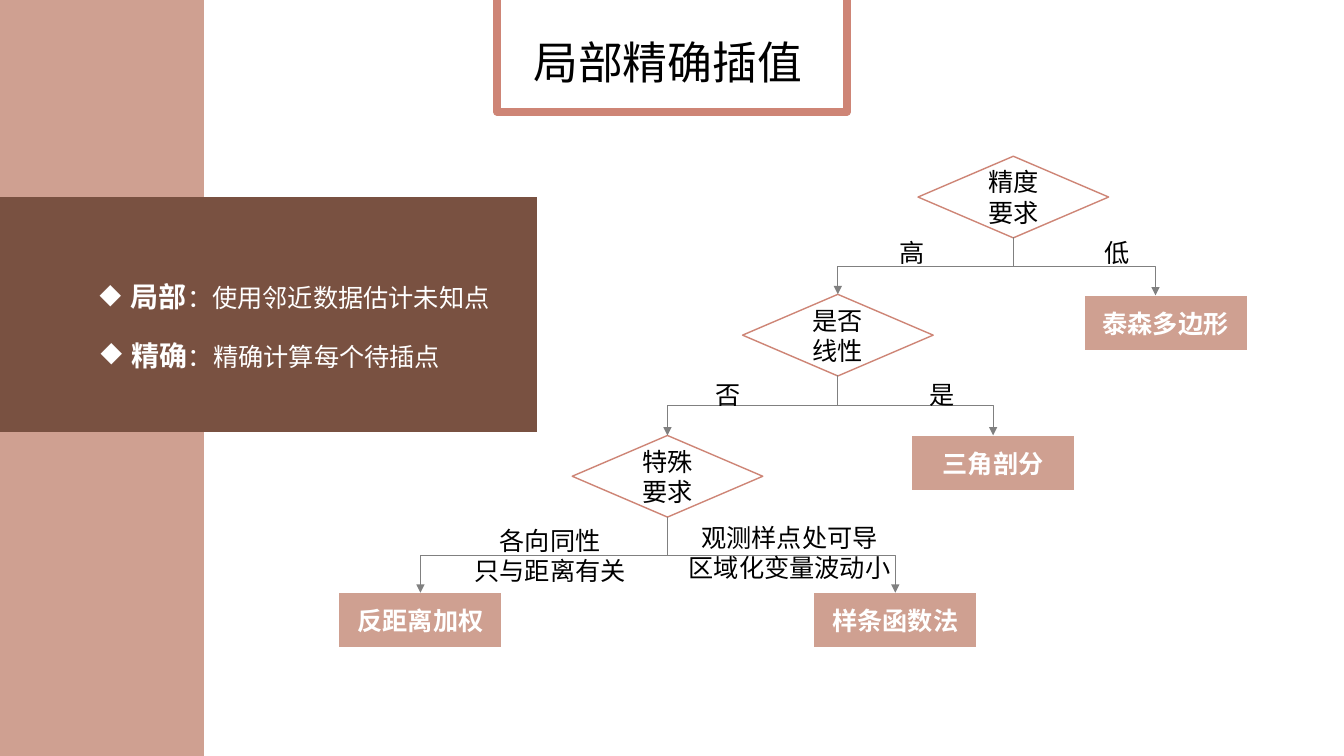
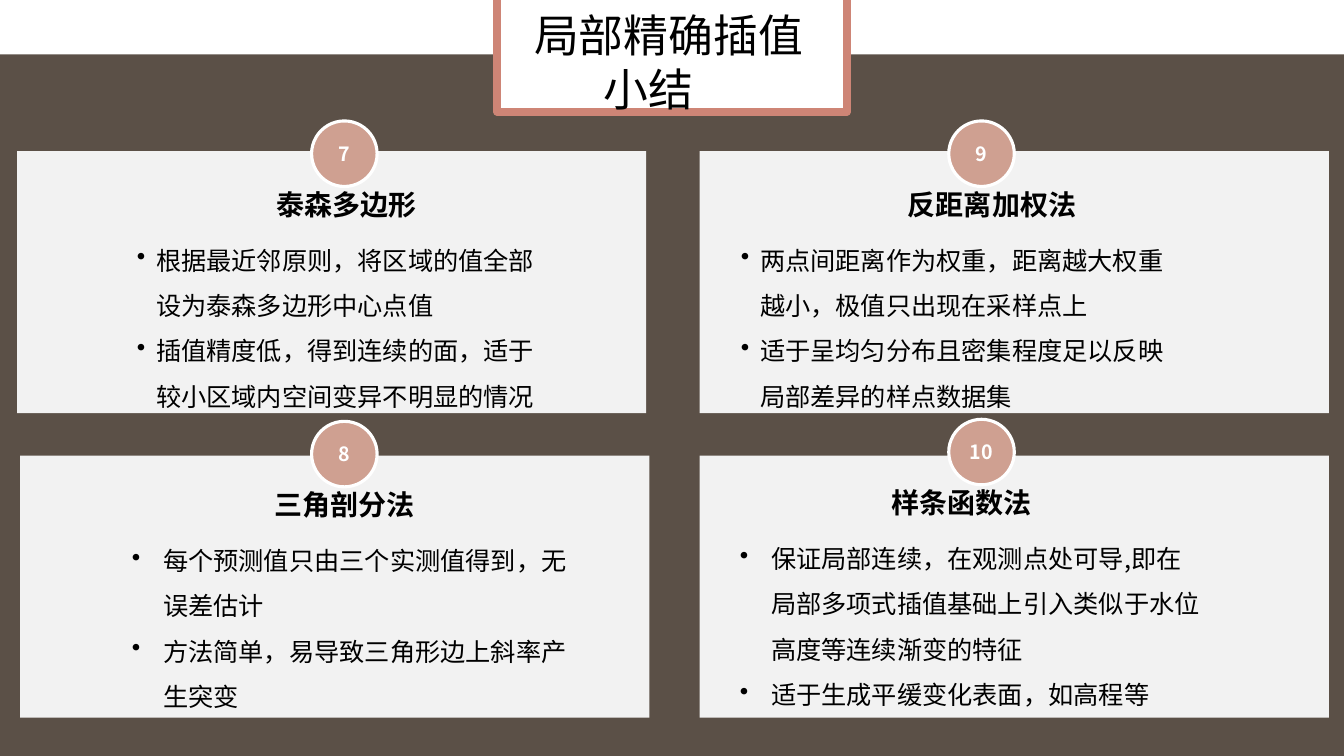
from pptx import Presentation
from pptx.dml.color import RGBColor
from pptx.enum.shapes import MSO_CONNECTOR, MSO_SHAPE
from pptx.enum.text import MSO_ANCHOR, PP_ALIGN
from pptx.oxml.ns import qn
from pptx.util import Inches, Pt
from lxml.etree import SubElement

FONT = "Noto Sans CJK SC"
WHITE = RGBColor(0xFF, 0xFF, 0xFF)
BLACK = RGBColor(0x00, 0x00, 0x00)
PINK = RGBColor(0xCF, 0xA0, 0x91)
CORAL = RGBColor(0xCE, 0x85, 0x76)
BROWN = RGBColor(0x79, 0x51, 0x41)
UMBER = RGBColor(0x5B, 0x50, 0x47)
PALE = RGBColor(0xF2, 0xF2, 0xF2)
GREY = RGBColor(0x80, 0x80, 0x80)

TITLE = {"size": Pt(32), "bold": False, "color": BLACK}
BODY = {"size": Pt(18), "bold": False, "color": BLACK}
HEADING = {"size": Pt(20), "bold": True, "color": BLACK}
TERM = {"size": Pt(20), "bold": True, "color": WHITE}
MEANING = {"size": Pt(18), "bold": False, "color": WHITE}
METHOD = {"size": Pt(18), "bold": True, "color": WHITE}
NUMBER = {"size": Pt(14), "bold": True, "color": WHITE}


def add_box(s, kind, at, fill, line=None, width=1):
    sp = s.shapes.add_shape(kind, *[Inches(v) for v in at])
    sp.shadow.inherit = False
    sp.fill.solid()
    sp.fill.fore_color.rgb = fill
    if line is None:
        sp.line.fill.background()
    else:
        sp.line.color.rgb = line
        sp.line.width = Pt(width)
    return sp


def write(s, target, paras, align=PP_ALIGN.LEFT, bullet=None, indent=0.31):
    """Fill a shape, or a new text box at four lengths, with paragraphs of (text, format) runs."""
    if isinstance(target, tuple):
        target = s.shapes.add_textbox(*[Inches(v) for v in target])
        target.text_frame.vertical_anchor = MSO_ANCHOR.TOP
    else:
        target.text_frame.vertical_anchor = MSO_ANCHOR.MIDDLE
    tf = target.text_frame
    tf.word_wrap = True
    for i, runs in enumerate(paras):
        p = tf.add_paragraph() if i else tf.paragraphs[0]
        p.alignment = align
        if bullet:
            p.line_spacing = 1.5
            pPr = p._p.get_or_add_pPr()
            pPr.set("marL", str(Inches(indent)))
            pPr.set("indent", str(-Inches(indent)))
            SubElement(pPr, qn("a:buChar"), char=bullet)
        for text, fmt in runs:
            r = p.add_run()
            r.text = text
            for name, value in fmt.items():
                if name == "color":
                    r.font.color.rgb = value
                else:
                    setattr(r.font, name, value)
            r.font.name = FONT
            SubElement(r._r.get_or_add_rPr(), qn("a:ea"), typeface=FONT)
    return tf


prs = Presentation()
prs.slide_width, prs.slide_height = Inches(13.33), Inches(7.5)
blank = prs.slide_layouts[6]
TITLE_FRAME = (MSO_SHAPE.RECTANGLE, (4.93, -0.6, 3.47, 1.71), WHITE, CORAL, 5.5)

# Slide 1: decision tree
s = prs.slides.add_slide(blank)
add_box(s, MSO_SHAPE.FLOWCHART_PROCESS, (-0.03, -0.23, 2.06, 8.3), PINK, WHITE)
add_box(s, MSO_SHAPE.FLOWCHART_PROCESS, (-0.64, 1.95, 5.97, 2.34), BROWN)
add_box(s, *TITLE_FRAME)
write(s, (5.19, 0.3, 3.86, 0.64), [[("局部精确插值", TITLE)]])

for x, y, term, meaning in [(0.89, 2.56, "局部", "：使用邻近数据估计未知点"),
                            (0.9, 3.14, "精确", "：精确计算每个待插点")]:
    write(s, (x, y, 4.47, 0.55), [[(term, TERM), (meaning, MEANING)]], bullet="◆")

DIAMOND_W, DIAMOND_H = 1.89, 0.81
for cx, top, question in [(10.05, 1.55, "精度要求"), (8.31, 2.92, "是否线性"),
                          (6.62, 4.32, "特殊要求")]:
    sp = add_box(s, MSO_SHAPE.FLOWCHART_DECISION,
                 (cx - DIAMOND_W / 2, top, DIAMOND_W, DIAMOND_H), WHITE, CORAL)
    tf = write(s, sp, [[(question, BODY)]], PP_ALIGN.CENTER)
    tf.margin_left = tf.margin_right = Inches(0.15)

for x, y, method in [(10.75, 2.93, "泰森多边形"), (9.04, 4.32, "三角剖分"),
                     (8.07, 5.88, "样条函数法"), (3.36, 5.88, "反距离加权")]:
    sp = add_box(s, MSO_SHAPE.FLOWCHART_PROCESS, (x, y, 1.62, 0.55), PINK, WHITE)
    tf = write(s, sp, [[(method, METHOD)]], PP_ALIGN.CENTER)
    tf.margin_left = tf.margin_right = Inches(0.05)

for x1, y1, x2, y2 in [(10.05, 2.36, 8.31, 2.92), (10.05, 2.35, 11.46, 2.93),
                       (8.31, 3.72, 6.62, 4.32), (8.31, 3.72, 9.85, 4.32),
                       (6.62, 5.13, 4.17, 5.88), (6.62, 5.13, 8.88, 5.88)]:
    # An elbow leaves sideways, so it is laid out turned by a quarter
    cx, cy = (x1 + x2) / 2, (y1 + y2) / 2
    side = 1 if x2 < x1 else -1
    half_w, half_h = (y2 - y1) / 2, abs(x2 - x1) / 2
    c = s.shapes.add_connector(MSO_CONNECTOR.ELBOW,
                               Inches(cx - side * half_w), Inches(cy - half_h),
                               Inches(cx + side * half_w), Inches(cy + half_h))
    c.line.color.rgb = GREY
    c.line.width = Pt(0.5)
    spPr = c._element.spPr
    spPr.find(qn("a:xfrm")).set("rot", str((90 if side == 1 else 270) * 60000))
    SubElement(spPr.find(qn("a:ln")), qn("a:tailEnd"), type="triangle")
    SubElement(spPr, qn("a:effectLst"))

for x, y, w, answer in [(8.82, 2.31, 0.5, "高"), (10.86, 2.31, 0.5, "低"),
                        (7, 3.71, 0.56, "否"), (9.12, 3.71, 0.56, "是")]:
    write(s, (x, y, w, 0.4), [[(answer, BODY)]])
for at, lines in [((6.63, 5.13, 2.4, 0.71), ["观测样点处可导", "区域化变量波动小"]),
                  ((4.51, 5.16, 1.89, 0.71), ["各向同性", "只与距离有关"])]:
    write(s, at, [[(line, BODY)] for line in lines], PP_ALIGN.CENTER)

# Slide 2: summary of the four methods
s = prs.slides.add_slide(blank)
add_box(s, MSO_SHAPE.RECTANGLE, (-0.47, 0.54, 13.8, 6.99), UMBER)
for x, y in [(0.17, 1.5), (0.2, 4.52), (6.94, 4.52), (6.94, 1.5)]:
    add_box(s, MSO_SHAPE.RECTANGLE, (x, y, 6.24, 2.6), PALE)
add_box(s, *TITLE_FRAME)
tf = write(s, (5.2, 0.03, 3.86, 1.18), [[("局部精确插值", TITLE)], [("小结", TITLE)]])
tf.paragraphs[1]._p.get_or_add_pPr().set("marL", str(Inches(0.69)))

# number, badge left and top, heading and its centre, body left, width and indent, points
cards = [
    ("7", 3.09, 1.2, "泰森多边形", 3.44, 1.26, 4.37, 0.19,
     ["根据最近邻原则，将区域的值全部设为泰森多边形中心点值",
      "插值精度低，得到连续的面，适于较小区域内空间变异不明显的情况"]),
    ("8", 3.09, 4.18, "三角剖分法", 3.42, 1.21, 4.65, 0.31,
     ["每个预测值只由三个实测值得到，无误差估计",
      "方法简单，易导致三角形边上斜率产生突变"]),
    ("9", 9.41, 1.2, "反距离加权法", 9.84, 7.25, 4.61, 0.19,
     ["两点间距离作为权重，距离越大权重越小，极值只出现在采样点上",
      "适于呈均匀分布且密集程度足以反映局部差异的样点数据集"]),
    ("10", 9.41, 4.16, "样条函数法", 9.54, 7.24, 4.8, 0.31,
     ["保证局部连续，在观测点处可导,即在局部多项式插值基础上引入类似于水位高度等连续渐变的特征",
      "适于生成平缓变化表面，如高程等"]),
]
for number, x, y, heading, cx, left, width, indent, points in cards:
    write(s, (left, y + 1.03, width, 1.9), [[(point, BODY)] for point in points],
          bullet="•", indent=indent)
    write(s, (cx - 2, y + 0.61, 4, 0.41), [[(heading, HEADING)]], PP_ALIGN.CENTER)
    sp = add_box(s, MSO_SHAPE.OVAL, (x, y, 0.65, 0.65), PINK, WHITE, 2.25)
    write(s, sp, [[(number, NUMBER)]], PP_ALIGN.CENTER)

prs.save("out.pptx")
